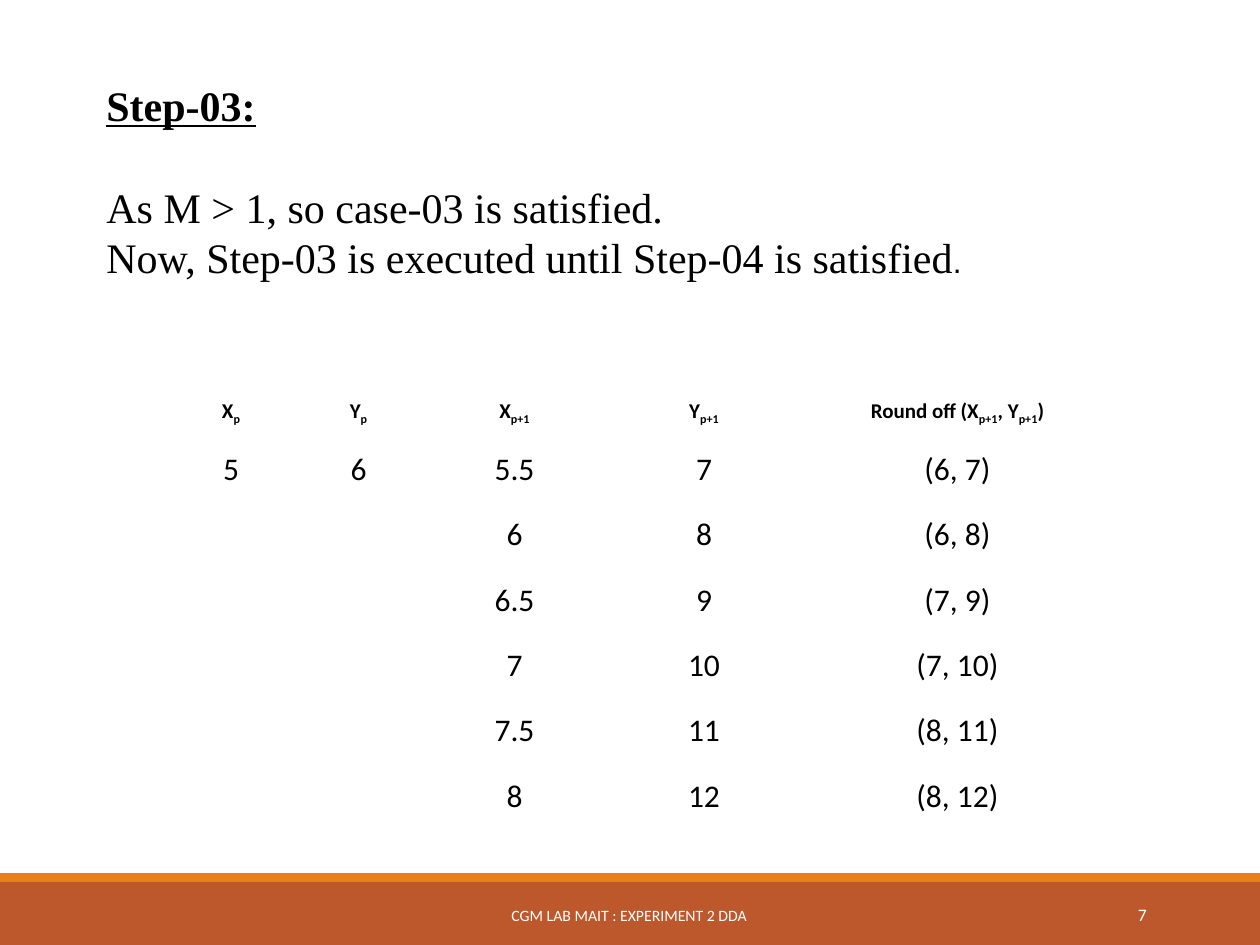
"""Build the Step-03 slide of the DDA line drawing experiment."""
from pptx import Presentation
from pptx.dml.color import RGBColor
from pptx.enum.shapes import MSO_SHAPE
from pptx.enum.text import MSO_ANCHOR as Anchor, PP_ALIGN as Align
from pptx.util import Emu, Pt

BLACK = RGBColor(0x00, 0x00, 0x00)
WHITE = RGBColor(0xFF, 0xFF, 0xFF)
RUST = RGBColor(0xBD, 0x58, 0x2C)
ORANGE = RGBColor(0xE4, 0x83, 0x12)
SERIF, SANS, ARIAL = "Times New Roman", "Calibri", "Arial"

BANDS = [((0, 882, 1260, 63), RUST), ((0, 873, 1260, 9), ORANGE)]

HEADING = "Step-03:"
CONDITION = "As M > 1, so case-03 is satisfied."
ACTION = "Now, Step-03 is executed until Step-04 is satisfied"
STEP_BOX = (94, 73, 1040, 214)
STEP_LINE = Pt(29)

HEADERS = [
    [("X", False), ("p", True)],
    [("Y", False), ("p", True)],
    [("X", False), ("p+1", True)],
    [("Y", False), ("p+1", True)],
    [("Round off (X", False), ("p+1", True), (", Y", False), ("p+1", True), (")", False)],
]
POINTS = [
    ("5", "6", "5.5", "7", "(6, 7)"),
    ("", "", "6", "8", "(6, 8)"),
    ("", "", "6.5", "9", "(7, 9)"),
    ("", "", "7", "10", "(7, 10)"),
    ("", "", "7.5", "11", "(8, 11)"),
    ("", "", "8", "12", "(8, 12)"),
]
TABLE_LEFT, TABLE_TOP, TABLE_HEIGHT, HEADER_HEIGHT = 168, 388, 441, 49
COLUMN_WIDTHS = [126, 129, 183, 196, 311]

FOOTERS = [
    ("CGM LAB MAIT : EXPERIMENT 2 DDA", (380, 890, 498, 50), 9, Align.CENTER),
    ("7", (1023, 890, 136, 50), 10, Align.RIGHT),
]


def px(length):
    return Emu(round(length * 914400 / 126))


def add_run(paragraph, text, size, face, color=BLACK, bold=False, underline=False):
    run = paragraph.add_run()
    run.text = text
    font = run.font
    font.size, font.name, font.bold, font.underline = Pt(size), face, bold, underline
    font.color.rgb = color
    return run


def add_frame(slide, box, anchor):
    frame = slide.shapes.add_textbox(*map(px, box)).text_frame
    frame.word_wrap = True
    frame.vertical_anchor = anchor
    return frame


def add_bands(slide):
    for box, color in BANDS:
        band = slide.shapes.add_shape(MSO_SHAPE.RECTANGLE, *map(px, box))
        band.shadow.inherit = False
        band.fill.solid()
        band.fill.fore_color.rgb = color
        band.line.fill.background()


def add_step(slide):
    frame = add_frame(slide, STEP_BOX, Anchor.TOP)
    heading, condition, action = frame.paragraphs[0], frame.add_paragraph(), frame.add_paragraph()
    for paragraph in (heading, condition, action):
        paragraph.line_spacing = STEP_LINE
    condition.space_before = STEP_LINE
    add_run(heading, HEADING, 24, SERIF, bold=True, underline=True)
    add_run(condition, CONDITION, 24, SERIF)
    add_run(action, ACTION, 24, SERIF)
    add_run(action, ".", 18, ARIAL)


def add_points(slide):
    table = slide.shapes.add_table(
        len(POINTS) + 1, len(HEADERS), px(TABLE_LEFT), px(TABLE_TOP),
        px(sum(COLUMN_WIDTHS)), px(TABLE_HEIGHT)).table
    table.first_row = table.horz_banding = False
    for column, width in zip(table.columns, COLUMN_WIDTHS):
        column.width = px(width)
    point_height = (TABLE_HEIGHT - HEADER_HEIGHT) / len(POINTS)
    for index, row in enumerate(table.rows):
        row.height = px(point_height if index else HEADER_HEIGHT)
    for cell in table.iter_cells():
        cell.fill.background()
        cell.vertical_anchor = Anchor.MIDDLE
        cell.text_frame.paragraphs[0].alignment = Align.CENTER
    for column, pieces in enumerate(HEADERS):
        label = table.cell(0, column).text_frame.paragraphs[0]
        for text, subscript in pieces:
            run = add_run(label, text, 12, SANS, bold=True)
            if subscript:
                run.font._element.set("baseline", "-25000")
    for row, values in enumerate(POINTS, 1):
        for column, value in enumerate(values):
            if value:
                add_run(table.cell(row, column).text_frame.paragraphs[0], value, 18, SANS)


def add_footers(slide):
    for text, box, size, align in FOOTERS:
        footer = add_frame(slide, box, Anchor.MIDDLE).paragraphs[0]
        footer.alignment = align
        add_run(footer, text, size, SANS, WHITE)


def main():
    deck = Presentation()
    deck.slide_width, deck.slide_height = px(1260), px(945)
    slide = deck.slides.add_slide(deck.slide_layouts[6])
    add_bands(slide)
    add_step(slide)
    add_points(slide)
    add_footers(slide)
    deck.save("out.pptx")


if __name__ == "__main__":
    main()
